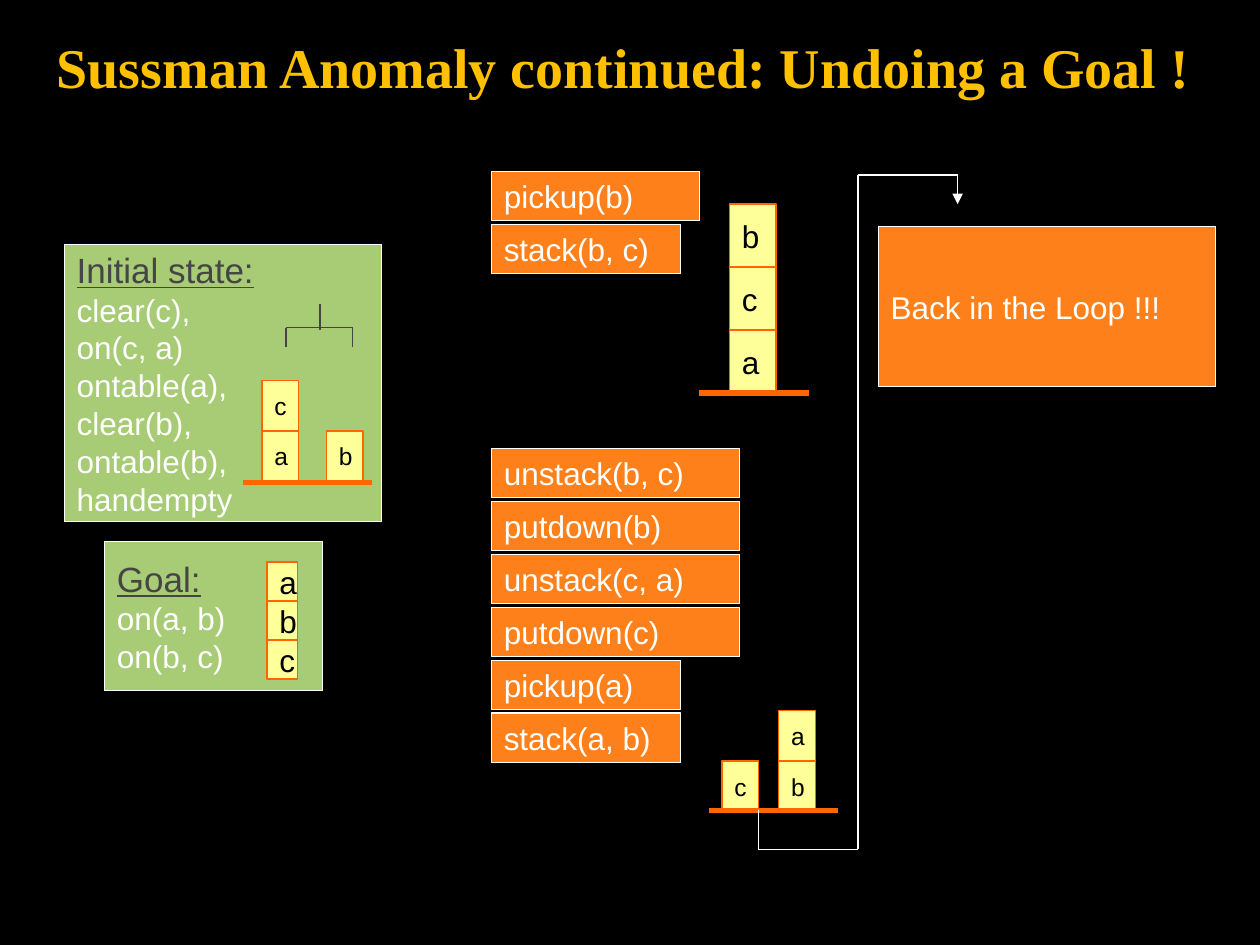
import pptx
import pptx.util
import pptx.dml.color
import pptx.enum.shapes
import pptx.enum.text
import pptx.oxml.ns
import lxml.etree

Inches, Pt = pptx.util.Inches, pptx.util.Pt

COLORS = {
    "background": "000000", "title": "FFC000", "state": "A8CB75",
    "heading": "454545", "white": "FFFFFF", "black": "000000",
    "action": "FE801A", "block": "FFFF99", "edge": "FF6600",
}

TITLE = "Sussman Anomaly continued: Undoing a Goal !"
STATES = [
    ("Initial state:", ["clear(c),", "on(c, a)", "ontable(a),", "clear(b),",
                        "ontable(b),", "handempty"], (0.51, 1.94, 2.52, 2.2)),
    ("Goal:", ["on(a, b)", "on(b, c)"], (0.83, 4.3, 1.73, 1.18)),
]
ACTION_LEFT, ACTION_HEIGHT, ACTION_STEP = 3.9, 0.39, 0.42
PLANS = [
    (1.36, [("pickup(b)", 1.65), ("stack(b, c)", 1.5)]),
    (3.56, [("unstack(b, c)", 1.97), ("putdown(b)", 1.97),
            ("unstack(c, a)", 1.97), ("putdown(c)", 1.97),
            ("pickup(a)", 1.5), ("stack(a, b)", 1.5)]),
]
LOOP = ("Back in the Loop !!!", (6.97, 1.8, 2.68, 1.27))

STACKS = [
    ("ca", 2.08, 3.02, 0.29, 0.4, 14),
    ("b", 2.59, 3.42, 0.29, 0.4, 14),
    ("abc", 2.12, 4.46, 0.24, 0.31, 18),
    ("bca", 5.79, 1.62, 0.37, 0.5, 18),
    ("ab", 6.18, 5.64, 0.29, 0.4, 14),
    ("c", 5.73, 6.04, 0.29, 0.4, 14),
]
TABLES = [(1.93, 2.95, 3.83, 3), (5.55, 6.42, 3.12, 3.5), (5.63, 6.65, 6.43, 3)]
HAND = [
    [(2.27, 2.75), (2.27, 2.6), (2.8, 2.6), (2.8, 2.75)],
    [(2.54, 2.62), (2.54, 2.41)],
]
LOOP_PATH = [(6.02, 6.43), (6.02, 6.74), (6.81, 6.74),
             (6.81, 1.39), (7.6, 1.39), (7.6, 1.62)]

prs = pptx.Presentation()
prs.slide_width, prs.slide_height = Inches(10), Inches(7.5)
s = prs.slides.add_slide(prs.slide_layouts[6])


def rgb(name):
    return pptx.dml.color.RGBColor.from_string(COLORS[name])


def write(sp, lines, wrap=False):
    tf = sp.text_frame
    frame = {
        "word_wrap": wrap,
        "vertical_anchor": pptx.enum.text.MSO_ANCHOR.MIDDLE,
        "margin_left": Inches(0.1), "margin_right": Inches(0.1),
        "margin_top": Inches(0.05), "margin_bottom": Inches(0.05),
    }
    for name, value in frame.items():
        setattr(tf, name, value)
    for i, (text, color, font) in enumerate(lines):
        p = tf.add_paragraph() if i else tf.paragraphs[0]
        p.alignment = pptx.enum.text.PP_ALIGN.LEFT
        r = p.add_run()
        r.text = text
        r.font.color.rgb = rgb(color)
        for name, value in ({"name": "Arial", "size": Pt(18)} | font).items():
            setattr(r.font, name, value)


def add_box(at, fill, edge, lines):
    sp = s.shapes.add_shape(pptx.enum.shapes.MSO_SHAPE.RECTANGLE, *map(Inches, at))
    sp.shadow.inherit = False
    sp.fill.solid()
    sp.fill.fore_color.rgb = rgb(fill)
    sp.line.color.rgb = rgb(edge)
    sp.line.width = Pt(0.75)
    write(sp, lines)


def add_path(points, color, width=0.75, arrow=False):
    for start, end in zip(points, points[1:]):
        line = s.shapes.add_connector(pptx.enum.shapes.MSO_CONNECTOR.STRAIGHT,
                                      *map(Inches, start + end))
        line.line.color.rgb = rgb(color)
        line.line.width = Pt(width)
        spPr = line._element.spPr
        lxml.etree.SubElement(spPr, pptx.oxml.ns.qn("a:effectLst"))
    if arrow:
        ln = line.line._get_or_add_ln()
        lxml.etree.SubElement(ln, pptx.oxml.ns.qn("a:tailEnd"), type="triangle")


s.background.fill.solid()
s.background.fill.fore_color.rgb = rgb("background")

for heading, facts, at in STATES:
    lines = [(heading, "heading", {"size": Pt(20), "underline": True})]
    add_box(at, "state", "white", lines + [(fact, "white", {}) for fact in facts])

for top, actions in PLANS:
    for i, (action, width) in enumerate(actions):
        at = (ACTION_LEFT, top + i * ACTION_STEP, width, ACTION_HEIGHT)
        add_box(at, "action", "white", [(action, "white", {})])

text, at = LOOP
add_box(at, "action", "white", [(text, "white", {})])

for letters, left, top, width, height, size in STACKS:
    for i, letter in enumerate(letters):
        add_box((left, top + i * height, width, height), "block", "edge",
                [(letter, "black", {"size": Pt(size)})])

for left, right, y, width in TABLES:
    add_path([(left, y), (right, y)], "edge", width)
for points in HAND:
    add_path(points, "heading")
add_path(LOOP_PATH, "white", arrow=True)

title = s.shapes.add_textbox(*map(Inches, (0.35, 0.13, 9.32, 0.79)))
title_font = {"name": "Times New Roman", "size": Pt(32), "bold": True}
write(title, [(TITLE, "title", title_font)], wrap=True)

prs.save("out.pptx")
